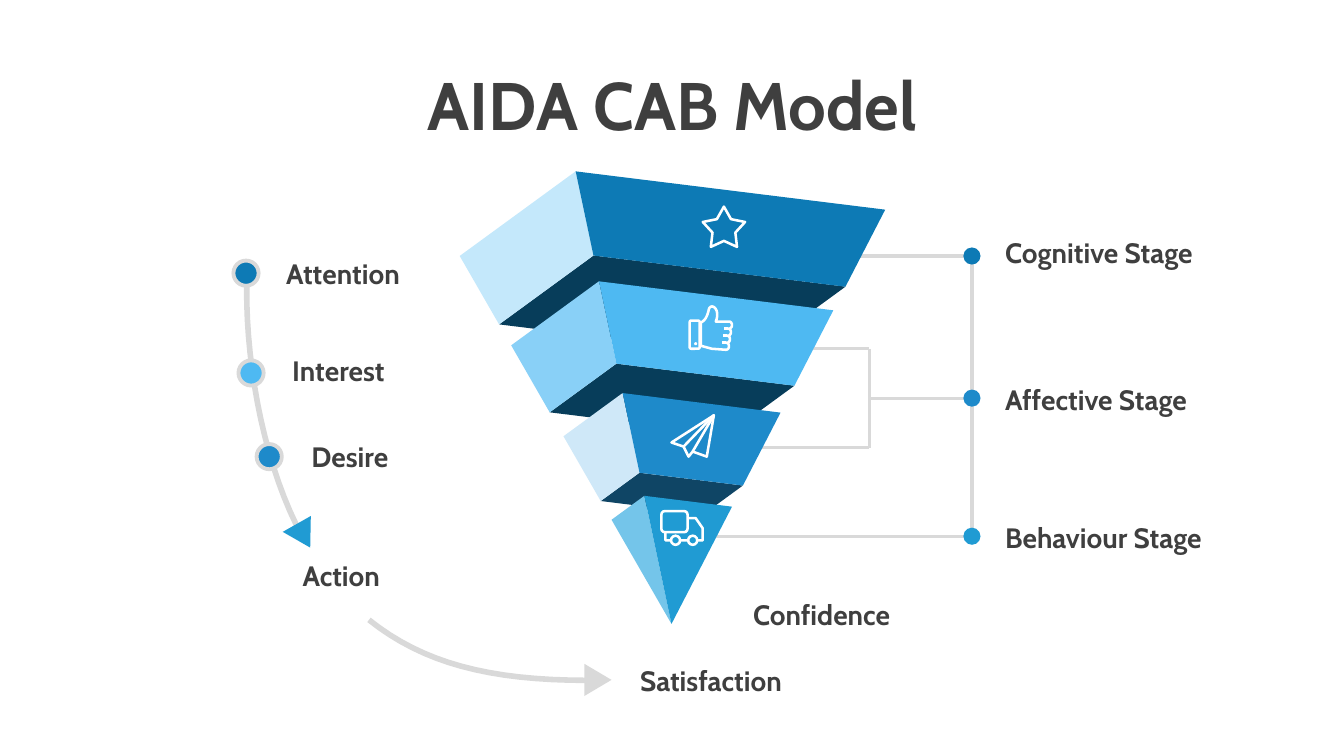
from lxml import etree
from pptx import Presentation
from pptx import util as u
from pptx.dml.color import RGBColor
from pptx.enum import shapes, text
from pptx.oxml.ns import qn

INK, RAIL, WHITE = "3F3F3F", "D9D9D9", "FFFFFF"
NAVY, SKY, BLUE, CYAN = "0D7AB5", "4EB9F2", "1E8ACA", "209BD3"
ICON_PEN, RING_PEN, RAIL_PEN, CURVE_PEN = 1.8, 2.75, 2.25, 4
PRESET = shapes.MSO_SHAPE


def color(value):
    return RGBColor.from_string(value)


def between(start, end, share):
    return tuple(a + (b - a) * share for a, b in zip(start, end))


def bezier(*controls, steps=16):
    curve = []
    for step in range(steps + 1):
        points = controls
        while len(points) > 1:
            points = [between(a, b, step / steps) for a, b in zip(points, points[1:])]
        curve.append(points[0])
    return curve


class Board:
    COLUMN = ROW = u.Inches(1)
    FONT = "Cabin"

    def __init__(self, deck):
        deck.slide_width, deck.slide_height = self.spot(13.33, 7.5)
        self.page = deck.slides.add_slide(deck.slide_layouts[6])

    def spot(self, *lengths):
        return [u.Emu(round(n * (self.ROW if i % 2 else self.COLUMN)))
                for i, n in enumerate(lengths)]

    def paint(self, shape, fill=None, edge=None, pen=ICON_PEN):
        shape.shadow.inherit = False
        for part, tone in ((shape.fill, fill), (shape.line.fill, edge)):
            if tone:
                part.solid()
                part.fore_color.rgb = color(tone)
            else:
                part.background()
        if edge:
            shape.line.width = u.Pt(pen)
        return shape

    def trace(self, points, closed=False, **style):
        start, *others = [self.spot(*point) for point in points]
        builder = self.page.shapes.build_freeform(*start, scale=1)
        builder.add_line_segments(others, close=closed)
        return self.paint(builder.convert_to_shape(), **style)

    def preset(self, kind, left, top, width, height, **style):
        place = self.spot(left, top, width, height)
        return self.paint(self.page.shapes.add_shape(kind, *place), **style)

    def dot(self, x, y, size, **style):
        return self.preset(PRESET.OVAL, x - size / 2, y - size / 2, size, size, **style)

    def arrowhead(self, left, top, turn, fill):
        self.preset(PRESET.ISOSCELES_TRIANGLE, left, top, 0.32, 0.27, fill=fill).rotation = turn

    def rail(self, *ends, tone=RAIL, pen=RAIL_PEN):
        line = self.page.shapes.add_connector(shapes.MSO_CONNECTOR.STRAIGHT, *self.spot(*ends))
        line.line.color.rgb = color(tone)
        line.line.width = u.Pt(pen)
        etree.SubElement(line._element.spPr, qn("a:effectLst"))

    def label(self, words, left, top, width, height=0.44, size=20, centered=False):
        box = self.page.shapes.add_textbox(*self.spot(left, top, width, height))
        frame = box.text_frame
        frame.word_wrap = True
        frame.auto_size = text.MSO_AUTO_SIZE.SHAPE_TO_FIT_TEXT
        para = frame.paragraphs[0]
        para.text = words
        para.alignment = text.PP_ALIGN.CENTER if centered else text.PP_ALIGN.LEFT
        para.font.name, para.font.size, para.font.bold = self.FONT, u.Pt(size), True
        para.font.color.rgb = color(INK)
        return frame


def draw_title(board):
    frame = board.label("AIDA CAB Model", 0.92, 0.37, 11.5, 1.41, 48, True)
    frame.auto_size = text.MSO_AUTO_SIZE.NONE
    frame.vertical_anchor = text.MSO_ANCHOR.MIDDLE
    frame.paragraphs[0].line_spacing = 0.9


def draw_pyramid(board):
    left, ridge, right, tip = (4.56, 2.54), (5.71, 1.7), (8.78, 2.08), (6.66, 6.19)
    tiers = [(0, 18.6, "C4E8FB", NAVY, "073D5A"),
             (24.3, 42.5, "89D0F7", SKY, "073D5A"),
             (49, 66.6, "CFE8F8", BLUE, "0F4565"),
             (71.7, 100, "74C5EA", CYAN, None)]
    for top, bottom, side, front, under in tiers:
        (left_top, ridge_top, right_top), (left_low, ridge_low, right_low) = [
            [between(edge, tip, percent / 100) for edge in (left, ridge, right)]
            for percent in (top, bottom)]
        if under:
            back = [a + b - c for a, b, c in zip(left_low, right_low, ridge_low)]
            board.trace([ridge_low, left_low, back, right_low], True, fill=under)
        board.trace([ridge_top, left_top, left_low, ridge_low], True, fill=side)
        board.trace([ridge_top, right_top, right_low, ridge_low], True, fill=front)


def draw_stages(board):
    spine, bracket = 9.64, 8.62
    cognitive, interest, affective, desire, behaviour = 2.54, 3.46, 3.95, 4.44, 5.32
    for start, end, y in [(8.47, spine, cognitive), (8.02, bracket, interest),
                          (bracket, spine, affective), (7.5, bracket, desire),
                          (7.1, spine, behaviour)]:
        board.rail(start, y, end, y)
    board.rail(spine, cognitive, spine, behaviour)
    board.rail(bracket, interest, bracket, desire)
    for stage, y, top, fill in [("Cognitive", cognitive, 2.29, NAVY),
                                ("Affective", affective, 3.75, BLUE),
                                ("Behaviour", behaviour, 5.11, CYAN)]:
        board.dot(spine, y, 0.17, fill=fill)
        board.label(f"{stage} Stage", 9.87, top, 2.24, 0.42)


def draw_journey(board):
    steps = bezier((2.45, 2.71), (2.42, 3.5), (2.59, 4.5), (2.94, 5.21))
    outcome = bezier((3.66, 6.15), (4.2, 6.58), (4.85, 6.75), (5.83, 6.75))
    for curve in (steps, outcome):
        board.trace(curve, edge=RAIL, pen=CURVE_PEN)
    board.arrowhead(2.85, 5.18, 150.5, CYAN)
    board.arrowhead(5.77, 6.61, 90, RAIL)
    for step, left, top, x, y, fill in [("Attention", 2.74, 2.5, 2.44, 2.71, NAVY),
                                        ("Interest", 2.8, 3.46, 2.49, 3.7, SKY),
                                        ("Desire", 2.99, 4.31, 2.67, 4.53, BLUE)]:
        board.dot(x, y, 0.25, fill=fill, edge=RAIL, pen=RING_PEN)
        board.label(step, left, top, 2.35)
    board.label("Action", 2.21, 5.49, 2.35, centered=True)
    board.label("Confidence", 7.37, 5.88, 1.95)
    board.label("Satisfaction", 6.25, 6.53, 1.95)


def draw_star(board):
    star = board.preset(PRESET.STAR_5_POINT, 6.97, 2.05, 0.42, 0.4, edge=WHITE)
    star.adjustments[0] = 0.27


def draw_thumb(board):
    board.preset(PRESET.ROUNDED_RECTANGLE, 6.84, 3.18, 0.1, 0.28, edge=WHITE)
    board.dot(6.9, 3.41, 0.03, fill=WHITE)
    wrist, knuckle, finger = (6.95, 3.2), 7.23, 0.07
    hand = bezier(wrist, (7, 3.18), (7.02, 3.12), (7.03, 3.07))
    hand += bezier(hand[-1], (7.05, 3), (7.15, 3.06), (7.1, 3.19))
    for i in range(4):
        x, top = knuckle - 0.01 * i, 3.19 + finger * i
        hand += bezier((x, top), (x + 0.04, top), (x + 0.04, top + finger), (x, top + finger))
        if i:
            board.rail(x - 0.04, top, x, top, tone=WHITE, pen=ICON_PEN)
    board.trace(hand + [(7.06, 3.46), (6.95, 3.43)], True, edge=WHITE)


def draw_plane(board):
    nose, left_wing, fold, tail, keel, right_wing = (
        (7.08, 4.12), (6.66, 4.39), (6.78, 4.43), (6.83, 4.53), (6.87, 4.48), (7.01, 4.53))
    board.trace([nose, left_wing, fold, tail, keel, right_wing], True, edge=WHITE)
    for crease in (fold, keel):
        board.rail(*nose, *crease, tone=WHITE, pen=ICON_PEN)


def draw_truck(board):
    rear, cargo, hood, front, roof, floor = 6.6, 6.82, 6.9, 6.97, 5.14, 5.36
    board.preset(PRESET.ROUNDED_RECTANGLE, 6.56, 5.07, 0.26, 0.21, edge=WHITE)
    board.trace([(cargo, roof), (hood, roof), (front, 5.24), (front, floor),
                 (rear, floor), (rear, 5.28)], edge=WHITE)
    for wheel in (6.7, 6.87):
        board.dot(wheel, floor, 0.09, fill=CYAN, edge=WHITE)


def main():
    deck = Presentation()
    board = Board(deck)
    for draw in (draw_title, draw_stages, draw_pyramid, draw_journey,
                 draw_star, draw_thumb, draw_plane, draw_truck):
        draw(board)
    deck.save("out.pptx")


if __name__ == "__main__":
    main()
